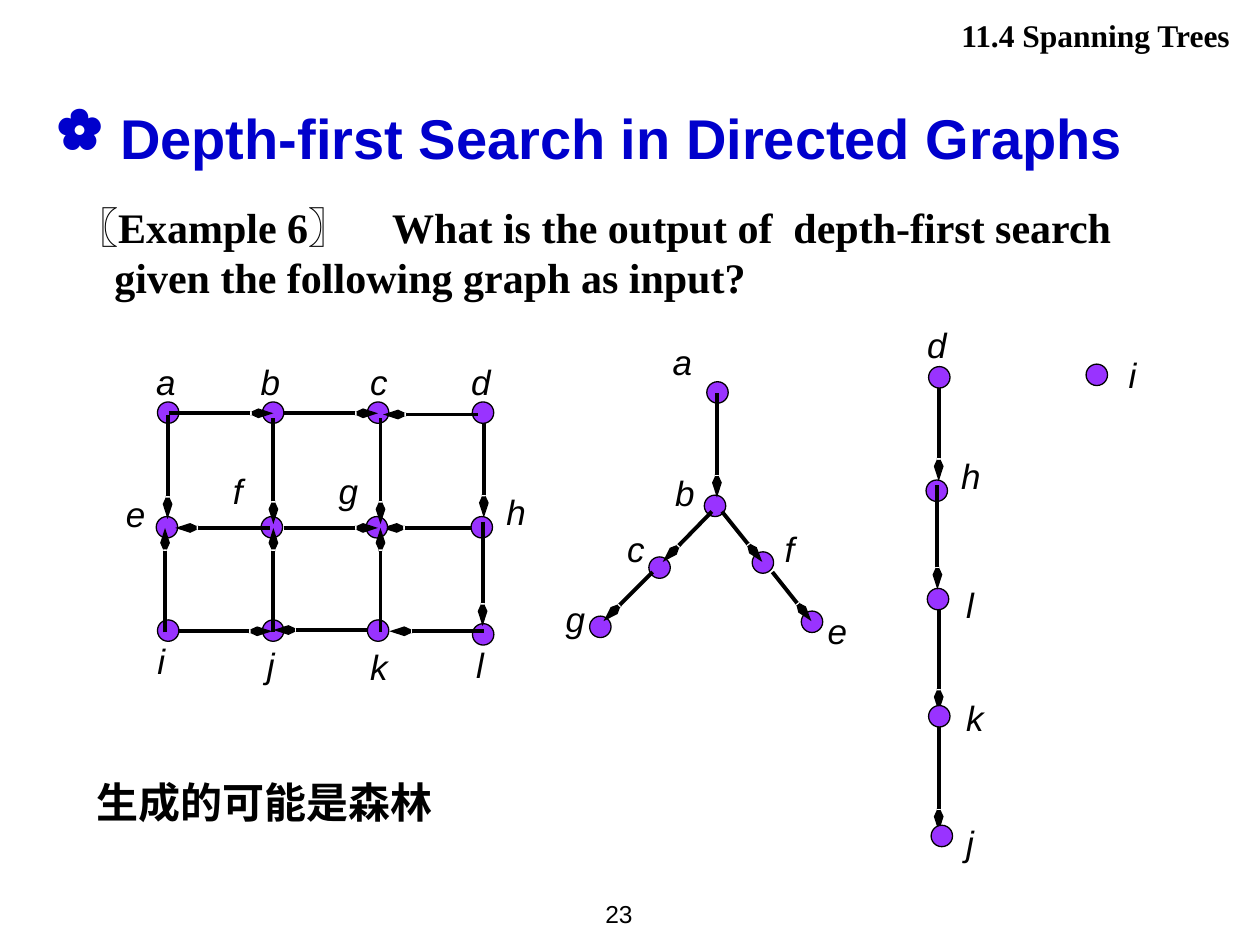
from lxml import etree
from pptx import Presentation
from pptx.dml.color import RGBColor
from pptx.enum.shapes import MSO_CONNECTOR, MSO_SHAPE
from pptx.enum.text import MSO_ANCHOR, MSO_AUTO_SIZE, PP_ALIGN
from pptx.oxml.ns import qn
from pptx.util import Inches, Pt

LINE = MSO_CONNECTOR.STRAIGHT
OVAL = MSO_SHAPE.OVAL
TOP, MIDDLE = MSO_ANCHOR.TOP, MSO_ANCHOR.MIDDLE
LEFT, RIGHT = PP_ALIGN.LEFT, PP_ALIGN.RIGHT
FIXED, GROW = MSO_AUTO_SIZE.NONE, MSO_AUTO_SIZE.SHAPE_TO_FIT_TEXT

COLORS = {"ink": "000000", "title": "0000CC", "node": "9933FF"}
SANS, SERIF, HAN = "Arial", "Times New Roman", "Noto Sans CJK SC"
DOT = 0.17

# Nodes: name, dot left and top, label left and top.
# Links: start x and y, end x and y; the arrow is at the end.
ROWS = [
    (1.25, 3.19, [("a", 1.14, 2.81), ("b", 1.97, 2.81),
                  ("c", 2.84, 2.81), ("d", 3.64, 2.81)]),
    (1.24, 4.10, [("e", 0.90, 3.86), ("f", 1.75, 3.68),
                  ("g", 2.59, 3.68), ("h", 3.92, 3.84)]),
    (1.25, 4.92, [("i", 1.15, 5.03), ("j", 2.02, 5.06), ("k", 2.84, 5.07)]),
]
STEP = 0.833
GRID = [(name, left + col * STEP, top, x, y)
        for left, top, row in ROWS for col, (name, x, y) in enumerate(row)]
GRID.append(("l", 3.75, 4.95, 3.68, 5.06))

GRAPHS = [
    {"nodes": GRID,
     "under": [(3.78, 4.19, 3.03, 4.19), (3.84, 3.28, 3.84, 4.11)],
     "over": [
         (1.34, 3.28, 2.17, 3.28), (2.25, 3.28, 3.00, 3.28),
         (3.79, 3.29, 3.04, 3.29), (2.14, 4.19, 1.39, 4.19),
         (2.25, 4.19, 3.00, 4.19), (1.41, 5.01, 2.16, 5.01),
         (2.92, 5.00, 2.17, 5.00), (3.84, 5.01, 3.09, 5.01),
         (1.33, 3.29, 1.33, 4.12), (2.17, 3.32, 2.17, 4.16),
         (3.02, 3.32, 3.02, 4.16), (1.31, 5.02, 1.31, 4.19),
         (2.17, 5.02, 2.17, 4.19), (3.02, 5.02, 3.02, 4.19),
         (3.83, 4.14, 3.83, 4.97)]},
    {"nodes": [("i", 8.62, 2.89, 8.86, 2.76)], "under": [], "over": []},
    {"nodes": [
        ("a", 5.61, 3.03, 5.24, 2.65), ("b", 5.59, 3.93, 5.26, 3.69),
        ("c", 5.15, 4.42, 4.88, 4.14), ("g", 4.68, 4.89, 4.39, 4.69),
        ("f", 5.97, 4.38, 6.13, 4.14), ("e", 6.36, 4.85, 6.47, 4.79)],
     "under": [],
     "over": [
         (5.69, 3.12, 5.69, 3.95), (5.65, 4.06, 5.26, 4.46),
         (5.18, 4.54, 4.79, 4.93), (5.73, 4.06, 6.05, 4.46),
         (6.13, 4.54, 6.44, 4.93)]},
    {"nodes": [
        ("d", 7.37, 2.91, 7.26, 2.52), ("h", 7.35, 3.81, 7.53, 3.56),
        ("l", 7.36, 4.67, 7.57, 4.58), ("k", 7.37, 5.60, 7.57, 5.48),
        ("j", 7.39, 6.55, 7.57, 6.47)],
     "under": [(7.45, 2.99, 7.45, 3.82), (7.45, 4.81, 7.45, 5.65),
               (7.45, 5.77, 7.45, 6.60)],
     "over": [(7.44, 3.85, 7.44, 4.68)]},
]


def paint(name):
    return RGBColor.from_string(COLORS[name])


class Deck:
    def __init__(self):
        self.prs = Presentation()
        self.prs.slide_width, self.prs.slide_height = Inches(10), Inches(7.5)
        self.slide = self.prs.slides.add_slide(self.prs.slide_layouts[5])

    def style(self, para, size, font, color="ink", bold=False, slant=False):
        for run in para.runs:
            face = run.font
            face.size, face.name = Pt(size), font
            face.bold, face.italic = bold, slant
            face.color.rgb = paint(color)
            if font == HAN:
                etree.SubElement(run._r.rPr, qn("a:ea"), typeface=font)

    def indent(self, para, size):
        """Give the paragraph a hanging indent."""
        props = para._p.get_or_add_pPr()
        props.set("marL", str(Inches(size)))
        props.set("indent", str(-Inches(size)))
        return props

    def title(self, text, mark, left, top, width, height):
        shape = self.slide.shapes.title
        shape.left, shape.top = Inches(left), Inches(top)
        shape.width, shape.height = Inches(width), Inches(height)
        frame = shape.text_frame
        frame.text = text
        frame.auto_size, frame.vertical_anchor = FIXED, TOP
        para = frame.paragraphs[0]
        para.alignment = LEFT
        etree.SubElement(self.indent(para, 0.38), qn("a:buChar"), char=mark)
        self.style(para, 32, SANS, "title", bold=True)

    def text(self, text, left, top, width, height, size, font, align=LEFT,
             fit=GROW, wrap=True, anchor=TOP, hang=0, home=None, **look):
        shapes = home or self.slide.shapes
        box = shapes.add_textbox(Inches(left), Inches(top),
                                 Inches(width), Inches(height))
        frame = box.text_frame
        frame.text = text
        frame.word_wrap, frame.auto_size = wrap, fit
        frame.vertical_anchor = anchor
        para = frame.paragraphs[0]
        para.alignment = align
        if hang:
            self.indent(para, hang)
        self.style(para, size, font, **look)

    def dot(self, home, left, top):
        shape = home.add_shape(OVAL, Inches(left), Inches(top),
                               Inches(DOT), Inches(DOT))
        shape.shadow.inherit = False
        shape.fill.solid()
        shape.fill.fore_color.rgb = paint("node")
        shape.line.color.rgb = paint("ink")
        shape.line.width = Pt(0.75)

    def arrow(self, home, *ends):
        link = home.add_connector(LINE, *map(Inches, ends))
        link.line.color.rgb = paint("ink")
        link.line.width = Pt(2.25)
        etree.SubElement(link.line._get_or_add_ln(), qn("a:tailEnd"),
                         type="arrow", w="sm", len="lg")
        etree.SubElement(link._element.spPr, qn("a:effectLst"))

    def graph(self, nodes, under, over):
        home = self.slide.shapes.add_group_shape().shapes
        for ends in under:
            self.arrow(home, *ends)
        for name, left, top, x, y in nodes:
            self.dot(home, left, top)
            self.text(name, x, y, 0.5, 0.43, 20, SANS, home=home, slant=True)
        for ends in over:
            self.arrow(home, *ends)


def main():
    deck = Deck()
    deck.title(" Depth-first Search in Directed Graphs", "✿",
               0.35, 0.77, 9.3, 0.77)
    deck.text("11.4 Spanning Trees", 3.98, 0.08, 5.88, 0.4, 18, SERIF,
              align=RIGHT, bold=True)
    deck.text(" 〖Example 6〗　What is the output of  depth-first search "
              "given the following graph as input?",
              0.43, 1.55, 8.66, 0.95, 24, SERIF, fit=FIXED, hang=0.38,
              bold=True)
    for graph in GRAPHS:
        deck.graph(**graph)
    deck.text("生成的可能是森林", 0.67, 6.11, 3.66, 0.5, 24, HAN, bold=True)
    deck.text("23", 4.45, 7, 0.67, 0.5, 14, SANS, align=RIGHT, fit=FIXED,
              wrap=False, anchor=MIDDLE)
    deck.prs.save("out.pptx")


if __name__ == "__main__":
    main()
